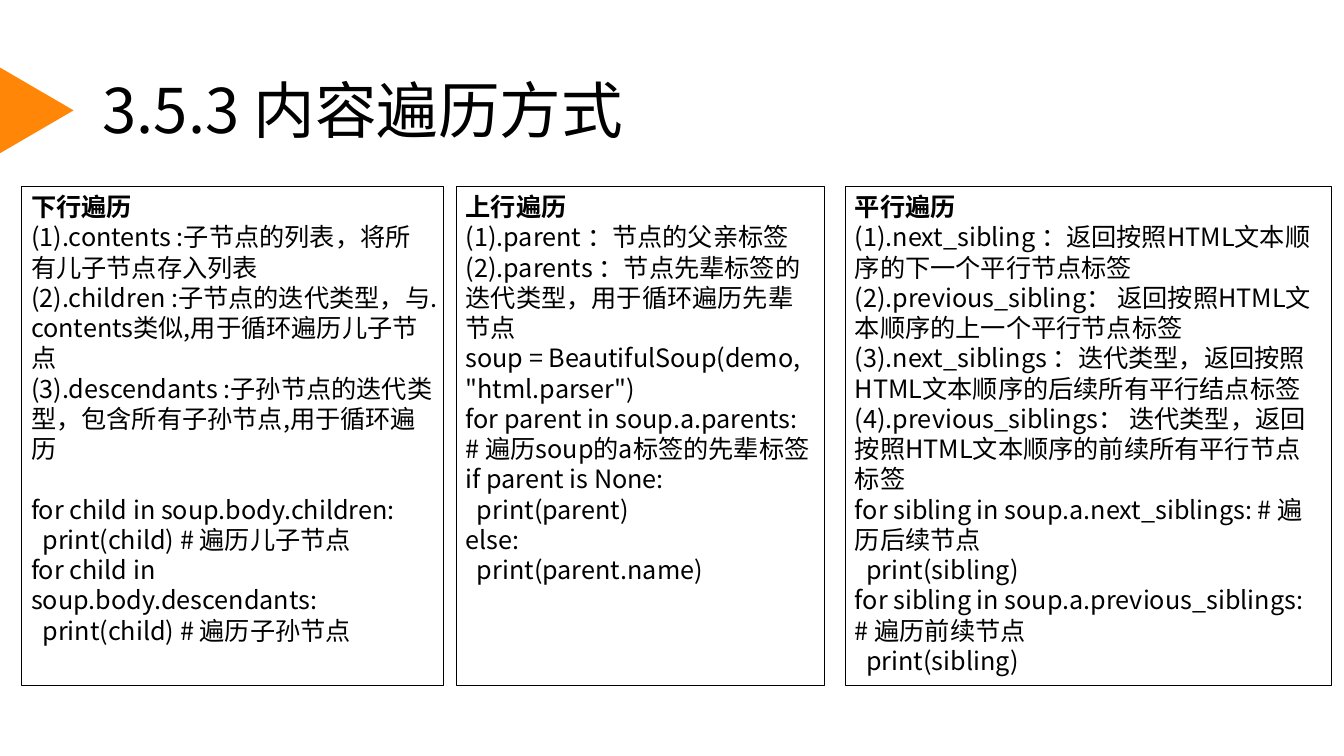
from dataclasses import dataclass

from pptx import Presentation
from pptx.dml.color import RGBColor
from pptx.enum.shapes import MSO_SHAPE
from pptx.enum.text import MSO_ANCHOR, MSO_AUTO_SIZE, PP_ALIGN
from pptx.oxml.ns import qn
from pptx.util import Inches, Pt

RECTANGLE, TRIANGLE = MSO_SHAPE.RECTANGLE, MSO_SHAPE.ISOSCELES_TRIANGLE
TOP, MIDDLE = MSO_ANCHOR.TOP, MSO_ANCHOR.MIDDLE
LEFT = PP_ALIGN.LEFT
GROW = MSO_AUTO_SIZE.SHAPE_TO_FIT_TEXT


@dataclass(frozen=True)
class Theme:
    font: str = "Noto Sans CJK SC"
    ink: RGBColor = RGBColor(0x00, 0x00, 0x00)
    accent: RGBColor = RGBColor(0xFF, 0x86, 0x07)
    title_size: Pt = Pt(44)
    body_size: Pt = Pt(18)
    body_line: Pt = Pt(21.6)
    border: Pt = Pt(0.25)


PANEL_TOP, PANEL_HEIGHT = 1.85, 4.95

# Each panel: left, width, heading, groups of lines set apart by one line.
PANELS = [
    (0.21, 4.19, "下行遍历", [
        [
            "(1).contents :子节点的列表，将所有儿子节点存入列表",
            "(2).children :子节点的迭代类型，与.contents类似,用于循环遍历儿子节点",
            "(3).descendants :子孙节点的迭代类型，包含所有子孙节点,用于循环遍历",
        ],
        [
            "for child in soup.body.children:",
            "  print(child) # 遍历儿子节点",
            "for child in soup.body.descendants:",
            "  print(child) # 遍历子孙节点",
        ],
    ]),
    (4.52, 3.66, "上行遍历", [
        [
            "(1).parent ：节点的父亲标签",
            "(2).parents ：节点先辈标签的迭代类型，用于循环遍历先辈节点",
            'soup = BeautifulSoup(demo, "html.parser")',
            "for parent in soup.a.parents: # 遍历soup的a标签的先辈标签",
            "if parent is None:",
            "  print(parent)",
            "else:",
            "  print(parent.name)",
        ],
    ]),
    (8.38, 4.82, "平行遍历", [
        [
            "(1).next_sibling ：返回按照HTML文本顺序的下一个平行节点标签",
            "(2).previous_sibling： 返回按照HTML文本顺序的上一个平行节点标签",
            "(3).next_siblings ：迭代类型，返回按照HTML文本顺序的后续所有平行结点标签",
            "(4).previous_siblings： 迭代类型，返回按照HTML文本顺序的前续所有平行节点标签",
            "for sibling in soup.a.next_siblings: # 遍历后续节点",
            "  print(sibling)",
            "for sibling in soup.a.previous_siblings: # 遍历前续节点",
            "  print(sibling)",
        ],
    ]),
]


class SlideBuilder:
    def __init__(self, slide, theme):
        self.slide = slide
        self.theme = theme

    def add_run(self, paragraph, text, size, bold=False):
        run = paragraph.add_run()
        run.text = text
        run.font.size = size
        run.font.bold = bold
        run.font.color.rgb = self.theme.ink
        run.font.name = self.theme.font
        east_asian = run.font._element.makeelement(
            qn("a:ea"), {"typeface": self.theme.font})
        run.font._element.find(qn("a:latin")).addnext(east_asian)

    def add_title(self, text, left, top, width, height):
        box = self.slide.shapes.add_textbox(
            Inches(left), Inches(top), Inches(width), Inches(height))
        frame = box.text_frame
        frame.word_wrap = True
        frame.vertical_anchor = MIDDLE
        paragraph = frame.paragraphs[0]
        paragraph.line_spacing = 0.9
        self.add_run(paragraph, text, self.theme.title_size)

    def add_shape(self, kind, left, top, width, height):
        shape = self.slide.shapes.add_shape(
            kind, Inches(left), Inches(top), Inches(width), Inches(height))
        shape.shadow.inherit = False
        return shape

    def add_marker(self, left, top, width, height):
        """Add the triangle that points right at the title."""
        marker = self.add_shape(TRIANGLE, left, top, width, height)
        marker.rotation = 90
        marker.fill.solid()
        marker.fill.fore_color.rgb = self.theme.accent
        marker.line.fill.background()

    def add_panel(self, left, width, heading, groups):
        panel = self.add_shape(RECTANGLE, left, PANEL_TOP, width, PANEL_HEIGHT)
        panel.fill.background()
        panel.line.color.rgb = self.theme.ink
        panel.line.width = self.theme.border
        frame = panel.text_frame
        frame.word_wrap = True
        frame.auto_size = GROW
        frame.vertical_anchor = TOP
        self.add_line(frame.paragraphs[0], heading, bold=True)
        for group_index, group in enumerate(groups):
            for line_index, text in enumerate(group):
                paragraph = frame.add_paragraph()
                if group_index and not line_index:
                    paragraph.space_before = self.theme.body_line
                self.add_line(paragraph, text)

    def add_line(self, paragraph, text, bold=False):
        paragraph.alignment = LEFT
        paragraph.line_spacing = self.theme.body_line
        self.add_run(paragraph, text, self.theme.body_size, bold)


def main():
    presentation = Presentation()
    presentation.slide_width = Inches(13.33)
    presentation.slide_height = Inches(7.5)
    slide = presentation.slides.add_slide(presentation.slide_layouts[6])
    builder = SlideBuilder(slide, Theme())
    builder.add_title("3.5.3 内容遍历方式", 0.92, 0.4, 11.5, 1.45)
    builder.add_marker(-0.06, 0.73, 0.85, 0.73)
    for panel in PANELS:
        builder.add_panel(*panel)
    presentation.save("out.pptx")


if __name__ == "__main__":
    main()
